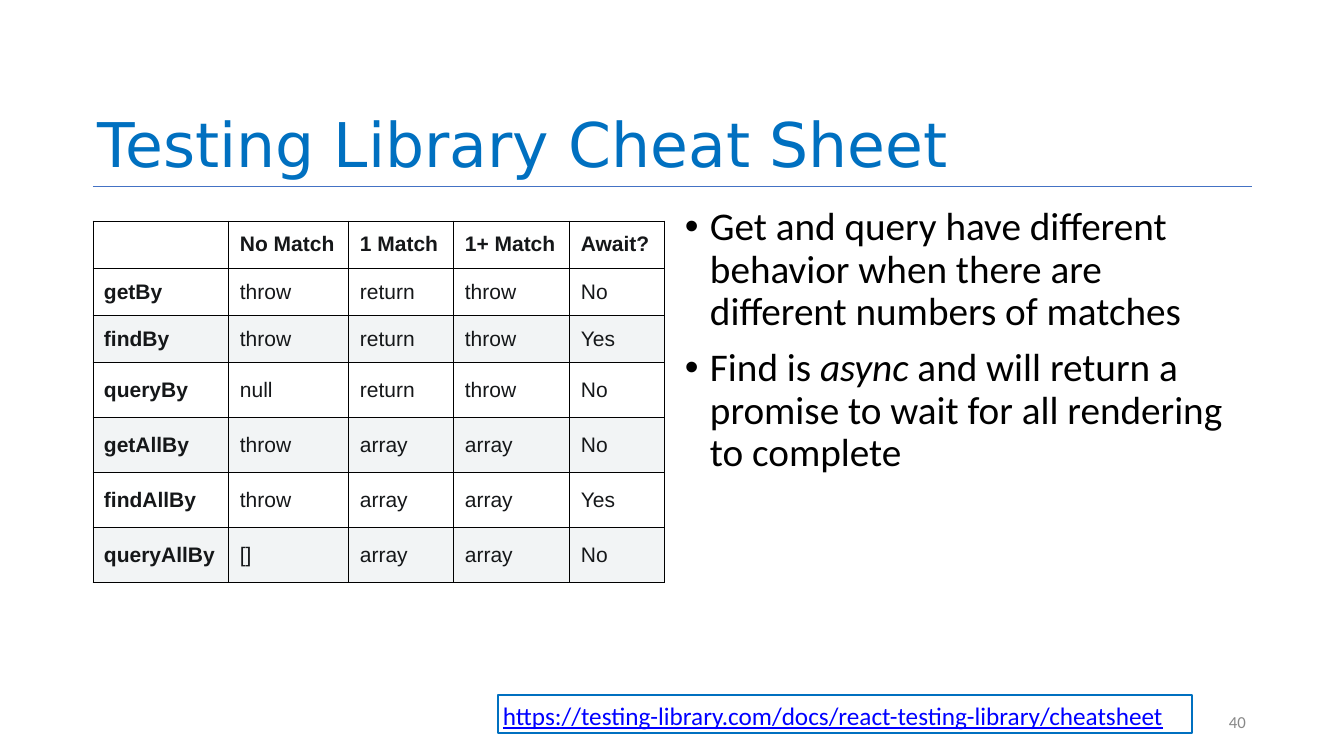
import pptx
import pptx.dml.color
import pptx.enum.shapes
import pptx.enum.text
import pptx.oxml
import pptx.oxml.ns
import pptx.util

THEME = {
    "title": {"font": "DejaVu Sans", "size": 44, "color": "0070C0"},
    "body": {"font": "Calibri", "size": 28, "color": "000000"},
    "cell": {"font": "Arial", "size": 15, "color": "151719"},
    "link": {"font": "Calibri", "size": 18, "color": "0000FF"},
    "number": {"font": "Calibri", "size": 12, "color": "888888"},
    "rule": "4472C4",
    "link_border": "0070C0",
    "cell_border": "000000",
    "band": "F2F4F5",
}
EMU_PER_PX = 914400 / 100.8
INSET, CELL_INSET = 5, 11
RGB = pptx.dml.color.RGBColor.from_string
ANCHOR = pptx.enum.text.MSO_ANCHOR


def px(*lengths):
    return [pptx.util.Emu(round(length * EMU_PER_PX)) for length in lengths]


def add_run(paragraph, text, style, bold=False, italic=False, underline=False):
    run = paragraph.add_run()
    run.text = text
    run.font.name = THEME[style]["font"]
    run.font.size = pptx.util.Pt(THEME[style]["size"])
    run.font.color.rgb = RGB(THEME[style]["color"])
    run.font.bold, run.font.italic, run.font.underline = bold, italic, underline


presentation = pptx.Presentation()
presentation.slide_width, presentation.slide_height = px(1344, 756)
slide = presentation.slides.add_slide(presentation.slide_layouts[6])

# Rule under the title
rule = slide.shapes.add_connector(
    pptx.enum.shapes.MSO_CONNECTOR.STRAIGHT, *px(93, 186, 1252, 186))
rule.line.color.rgb = RGB(THEME["rule"])
rule.line.width = pptx.util.Pt(0.5)
pptx.oxml.ns.qn("a:effectLst")
rule._element.spPr.append(pptx.oxml.parse_xml(
    f"<a:effectLst {pptx.oxml.ns.nsdecls('a')}/>"))

# Text frames: title, bullets, slide number and link
title = slide.shapes.add_textbox(*px(93, 40, 1159, 146))
bullets = slide.shapes.add_textbox(*px(680, 202, 572, 480))
number = slide.shapes.add_textbox(*px(1223, 708, 28, 27))
link = slide.shapes.add_shape(
    pptx.enum.shapes.MSO_SHAPE.RECTANGLE, *px(498, 695, 694, 38))
for shape, anchor in ((title, ANCHOR.BOTTOM), (bullets, ANCHOR.TOP),
                      (number, ANCHOR.MIDDLE), (link, ANCHOR.TOP)):
    frame = shape.text_frame
    frame.word_wrap = shape is not number
    frame.vertical_anchor = anchor
    (frame.margin_left, frame.margin_top,
     frame.margin_right, frame.margin_bottom) = px(*[INSET] * 4)

# Title
paragraph = title.text_frame.paragraphs[0]
paragraph.line_spacing = 0.9
add_run(paragraph, "Testing Library Cheat Sheet", "title")

# Query table
ROWS = [
    ["", "No Match", "1 Match", "1+ Match", "Await?"],
    ["getBy", "throw", "return", "throw", "No"],
    ["findBy", "throw", "return", "throw", "Yes"],
    ["queryBy", "null", "return", "throw", "No"],
    ["getAllBy", "throw", "array", "array", "No"],
    ["findAllBy", "throw", "array", "array", "Yes"],
    ["queryAllBy", "[]", "array", "array", "No"],
]
COLUMN_WIDTHS = [136, 120, 105, 116, 95]
ROW_HEIGHTS = [44] * 3 + [55] * 4
table = slide.shapes.add_table(
    len(ROWS), len(COLUMN_WIDTHS),
    *px(93, 221, sum(COLUMN_WIDTHS), sum(ROW_HEIGHTS))).table
table.first_row = table.horz_banding = False
for column, width in zip(table.columns, px(*COLUMN_WIDTHS)):
    column.width = width
for row, height in zip(table.rows, px(*ROW_HEIGHTS)):
    row.height = height

for row_index, words in enumerate(ROWS):
    for column_index, word in enumerate(words):
        cell = table.cell(row_index, column_index)
        properties = cell._tc.get_or_add_tcPr()
        for side in ("lnL", "lnR", "lnT", "lnB"):
            properties.append(pptx.oxml.parse_xml(
                f'<a:{side} {pptx.oxml.ns.nsdecls("a")} w="{pptx.util.Pt(0.75)}">'
                f'<a:solidFill><a:srgbClr val="{THEME["cell_border"]}"/></a:solidFill>'
                f'</a:{side}>'))
        if row_index and row_index % 2 == 0:
            cell.fill.solid()
            cell.fill.fore_color.rgb = RGB(THEME["band"])
        else:
            cell.fill.background()
        if word:
            cell.vertical_anchor = ANCHOR.MIDDLE
            (cell.margin_left, cell.margin_top,
             cell.margin_right, cell.margin_bottom) = px(*[CELL_INSET] * 4)
            add_run(cell.text_frame.paragraphs[0], word, "cell",
                    bold=row_index == 0 or column_index == 0)

# Bullets, as (text, italic) runs
BULLETS = [
    [("Get and query have different behavior when there are "
      "different numbers of matches", False)],
    [("Find is ", False), ("async", True),
     (" and will return a promise to wait for all rendering to complete", False)],
]
hanging = px(25)[0]
for index, runs in enumerate(BULLETS):
    frame = bullets.text_frame
    paragraph = frame.add_paragraph() if index else frame.paragraphs[0]
    properties = paragraph._p.get_or_add_pPr()
    properties.set("marL", str(hanging))
    properties.set("indent", str(-hanging))
    for bullet in ('buFont typeface="Arial"', 'buChar char="•"'):
        tag, attribute = bullet.split(" ")
        properties.append(pptx.oxml.parse_xml(
            f"<a:{tag} {pptx.oxml.ns.nsdecls('a')} {attribute}/>"))
    paragraph.line_spacing = 0.9
    if index:
        paragraph.space_before = pptx.util.Pt(10)
    for text, italic in runs:
        add_run(paragraph, text, "body", italic=italic)

# Slide number
paragraph = number.text_frame.paragraphs[0]
paragraph.alignment = pptx.enum.text.PP_ALIGN.RIGHT
add_run(paragraph, "40", "number")

# Link box
link.shadow.inherit = False
link.fill.background()
link.line.color.rgb = RGB(THEME["link_border"])
link.line.width = pptx.util.Pt(1)
paragraph = link.text_frame.paragraphs[0]
paragraph.alignment = pptx.enum.text.PP_ALIGN.LEFT
add_run(paragraph, "https://testing-library.com/docs/react-testing-library/cheatsheet",
        "link", underline=True)

presentation.save("out.pptx")
